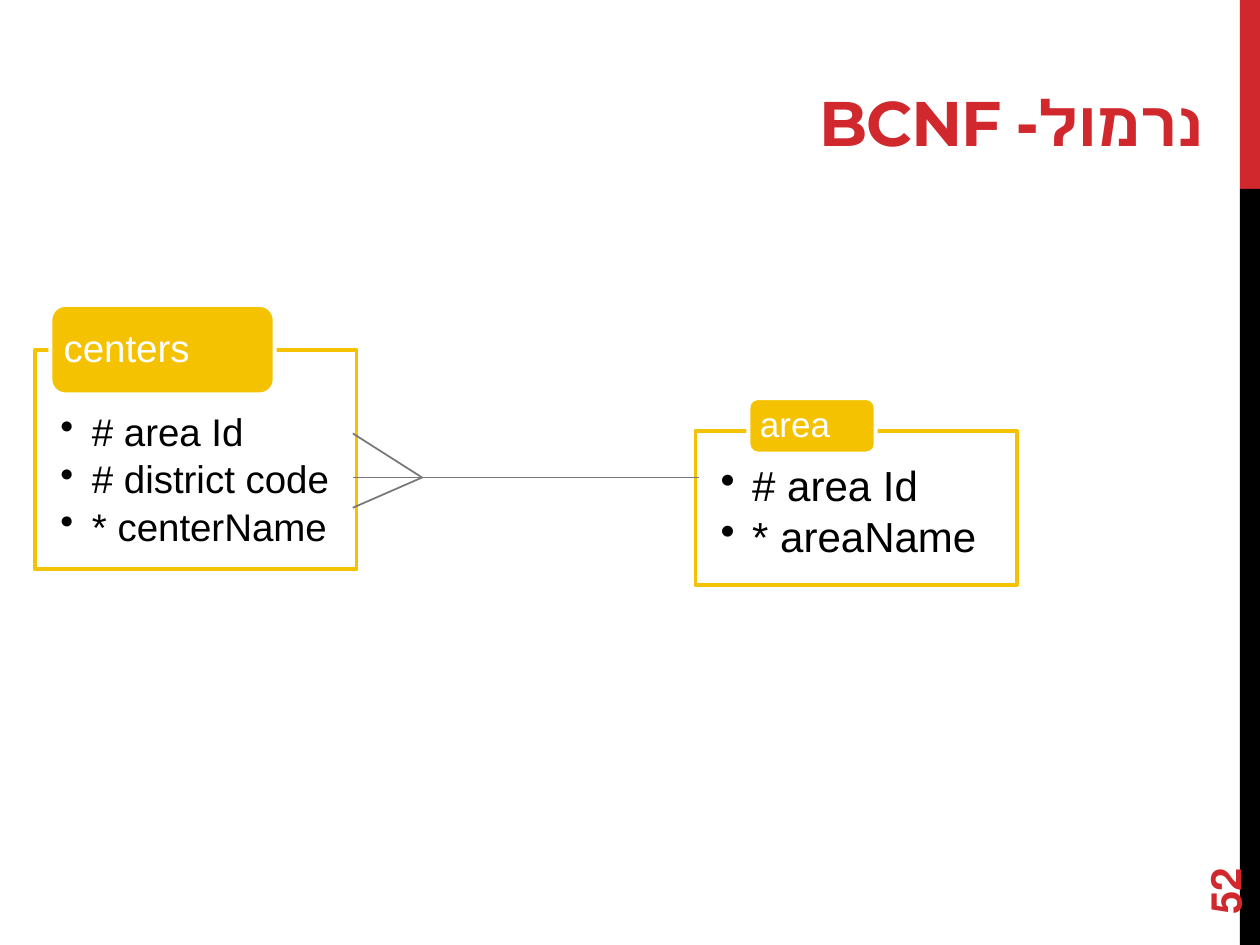
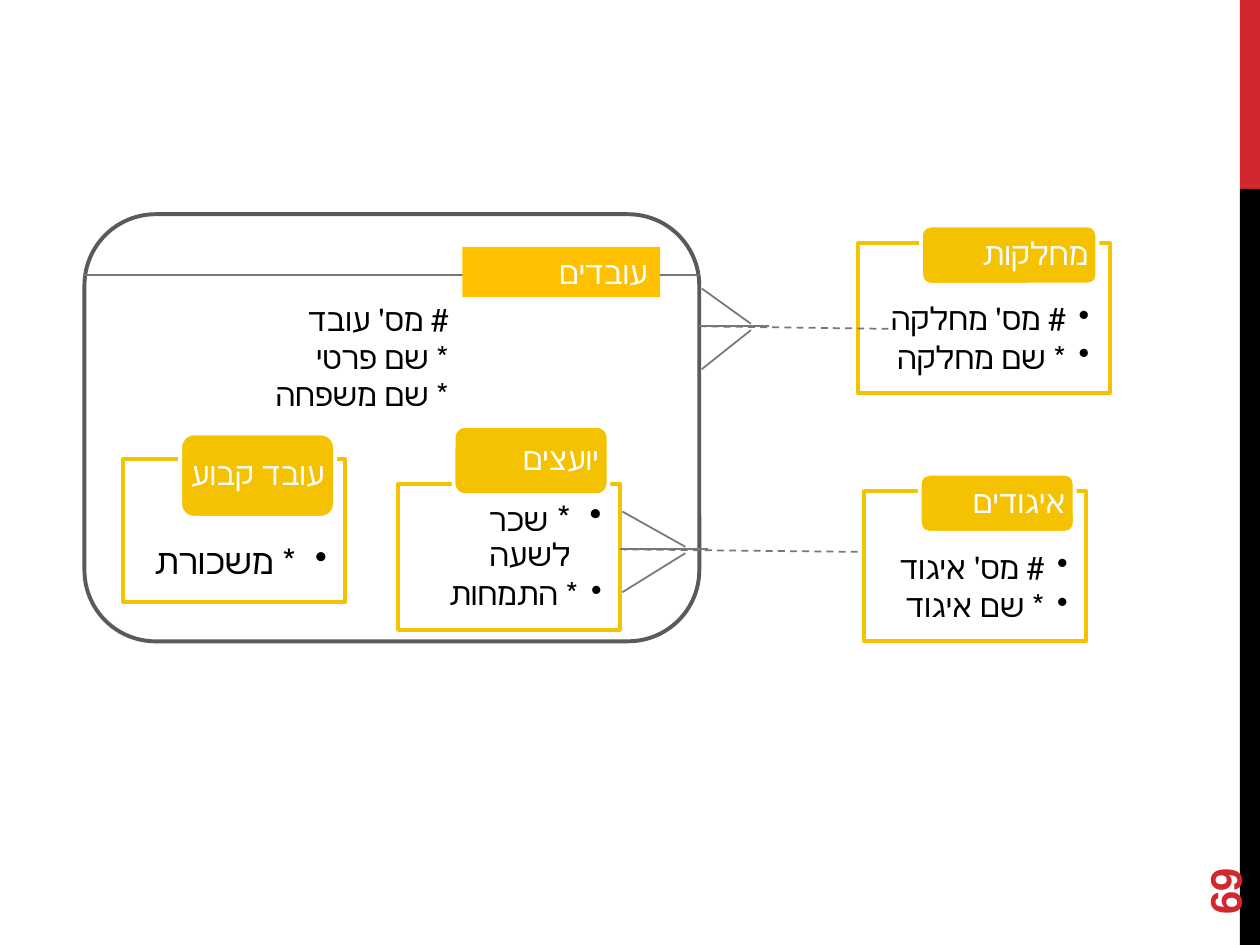
import pptx
import pptx.util
import pptx.dml.color
import pptx.enum.dml
import pptx.enum.shapes
import pptx.enum.text
import pptx.oxml.ns
from lxml import etree

Inches, Pt = pptx.util.Inches, pptx.util.Pt
RGB = pptx.dml.color.RGBColor
SHAPE = pptx.enum.shapes.MSO_SHAPE
ANCHOR = pptx.enum.text.MSO_ANCHOR
ALIGN = pptx.enum.text.PP_ALIGN
qn = pptx.oxml.ns.qn

RED = RGB(0xD1, 0x28, 0x2E)
BLACK = RGB(0, 0, 0)
WHITE = RGB(255, 255, 255)
GOLD = RGB(0xF5, 0xC2, 0x01)
AMBER = RGB(0xFF, 0xC0, 0x00)
GREY = RGB(0x77, 0x77, 0x77)
DARK_GREY = RGB(0x5A, 0x5A, 0x5A)

# Content: boxes are left, top, width, height; an item is a list of (text, size) runs
BCNF = {
    "number": "52",
    "title": "נרמול- BCNF",
    "rtl": False,
    "entities": [
        {"box": (0.28, 2.78, 2.55, 1.74), "insets": (0.2, 0.5, 0.2, 0.17),
         "tag": (0.4, 2.42, 1.78, 0.71), "tag_inset": 0.07, "name": ("centers", 22),
         "items": [[("# area Id", 22)], [("# district code", 22)], [("* centerName", 22)]]},
        {"box": (5.52, 3.42, 2.55, 1.22), "insets": (0.2, 0.27, 0.2, 0.19),
         "tag": (5.94, 3.16, 1.01, 0.44), "tag_inset": 0.07, "name": ("area", 20),
         "items": [[("# area Id", 24)], [("* areaName", 24)]]},
    ],
    # Start x, y, end x, y, dashed
    "lines": [(5.55, 3.79, 2.8, 3.79, False),
              (2.8, 3.44, 3.35, 3.79, False),
              (2.8, 4.03, 3.35, 3.79, False)],
}

EMPLOYEES = {
    "number": "69",
    "title": None,
    "rtl": True,
    "entities": [
        {"box": (0.98, 3.64, 1.76, 1.14), "insets": (0.14, 0.68, 0.14, 0.16),
         "tag": (1.43, 3.44, 1.23, 0.67), "tag_inset": 0.05, "name": ("עובד קבוע", 18),
         "items": [[("* משכורת", 20)]]},
        {"box": (3.16, 3.84, 1.76, 1.16), "insets": (0.14, 0.14, 0.14, 0.16),
         "tag": (3.6, 3.38, 1.23, 0.55), "tag_inset": 0.05, "name": ("יועצים", 18),
         "items": [[("* ", 20), ("שכר לשעה", 18)], [("* התמחות", 18)]]},
        {"box": (6.81, 1.93, 2, 1.19), "insets": (0.16, 0.48, 0.16, 0.14),
         "tag": (7.31, 1.79, 1.4, 0.47), "tag_inset": 0.05, "name": ("מחלקות", 18),
         "items": [[("# מס' מחלקה", 18)], [("* שם מחלקה", 18)]]},
        {"box": (6.86, 3.9, 1.76, 1.19), "insets": (0.14, 0.48, 0.14, 0.14),
         "tag": (7.3, 3.76, 1.23, 0.47), "tag_inset": 0.05, "name": ("איגודים", 18),
         "items": [[("# מס' איגוד", 18)], [("* שם איגוד", 18)]]},
    ],
    "lines": [(5.55, 2.59, 6.1, 2.59, False),
              (5.57, 2.93, 5.96, 2.62, False),
              (5.57, 2.29, 5.96, 2.57, False),
              (5.55, 2.59, 7.05, 2.61, True),
              (4.92, 4.36, 5.62, 4.36, False),
              (4.94, 4.7, 5.44, 4.39, False),
              (4.94, 4.06, 5.44, 4.34, False),
              (4.92, 4.36, 6.81, 4.38, True)],
}

SUPERTYPE = {"box": (0.67, 1.7, 4.88, 3.39), "divider": (0.67, 2.18, 5.55, 2.18),
             "tag": (3.67, 1.96, 1.57, 0.4), "name": ("עובדים", 18),
             "fields": (1.22, 2.33, 2.44, 1.01),
             "items": [[("# מס' עובד", 18)], [("* שם פרטי", 18)], [("* שם משפחה", 18)]]}


def add_shape(s, kind, at, fill=None, line=None, alpha=None):
    sp = s.shapes.add_shape(kind, *map(Inches, at))
    sp.shadow.inherit = False
    if fill is None:
        sp.fill.background()
    else:
        sp.fill.solid()
        sp.fill.fore_color.rgb = fill
    if alpha:
        color = sp.fill._xPr.find(qn("a:solidFill"))[0]
        etree.SubElement(color, qn("a:alpha"), val=str(alpha * 1000))
    if line is None:
        sp.line.fill.background()
    else:
        sp.line.color.rgb = line
        sp.line.width = Pt(2.25)
    return sp


def add_line(s, x1, y1, x2, y2, dashed=False):
    line = s.shapes.add_connector(pptx.enum.shapes.MSO_CONNECTOR.STRAIGHT,
                                  *map(Inches, (x1, y1, x2, y2)))
    line.line.color.rgb = GREY
    line.line.width = Pt(1)
    if dashed:
        line.line.dash_style = pptx.enum.dml.MSO_LINE.DASH
    etree.SubElement(line._element.spPr, qn("a:effectLst"))


def write(sp, items, color, right, rtl, anchor=ANCHOR.TOP, insets=(0.1, 0.05, 0.1, 0.05),
          after=None, bullets=False, font="Arial", bold=False):
    tf = sp.text_frame
    tf.word_wrap = True
    tf.vertical_anchor = anchor
    for side, inset in zip(("left", "top", "right", "bottom"), insets):
        setattr(tf, f"margin_{side}", Inches(inset))
    for i, runs in enumerate(items):
        p = tf.add_paragraph() if i else tf.paragraphs[0]
        p.alignment = ALIGN.RIGHT if right else ALIGN.LEFT
        pPr = p._p.get_or_add_pPr()
        pPr.set("rtl", str(int(rtl)))
        if after:
            p.line_spacing = 0.9
            spacing = etree.SubElement(pPr, qn("a:spcAft"))
            etree.SubElement(spacing, qn("a:spcPct"), val=str(after * 1000))
        if bullets:
            p.level = 1
            indent = Inches(0.25 if runs[0][1] >= 20 else 0.19)
            pPr.set("marL", str(indent))
            pPr.set("indent", str(-indent))
            etree.SubElement(pPr, qn("a:buChar"), char="•")
        for text, size in runs:
            r = p.add_run()
            r.text = text
            for key, value in {"name": font, "size": Pt(size), "bold": bold}.items():
                setattr(r.font, key, value)
            r.font.color.rgb = color


def add_text(s, at, items, color, right, **style):
    sp = s.shapes.add_textbox(*map(Inches, at))
    write(sp, items, color, right, True, **style)
    return sp


def add_entity(s, entity, rtl):
    box = add_shape(s, SHAPE.RECTANGLE, entity["box"], WHITE, GOLD, alpha=90)
    write(box, entity["items"], BLACK, rtl, rtl, insets=entity["insets"],
          after=15, bullets=True)
    tag = add_shape(s, SHAPE.ROUNDED_RECTANGLE, entity["tag"], GOLD, WHITE)
    side = entity["tag_inset"]
    write(tag, [[entity["name"]]], WHITE, rtl, True, ANCHOR.MIDDLE,
          (side, 0, side, 0), after=35)


def add_supertype(s, group):
    add_shape(s, SHAPE.ROUNDED_RECTANGLE, group["box"], line=DARK_GREY)
    add_line(s, *group["divider"])
    tag = add_shape(s, SHAPE.RECTANGLE, group["tag"], AMBER)
    write(tag, [[group["name"]]], WHITE, True, True)
    add_text(s, group["fields"], group["items"], BLACK, True)


def add_slide(prs, content, supertype=None):
    s = prs.slides.add_slide(prs.slide_layouts[6])
    # Side band, page number and title
    add_shape(s, SHAPE.RECTANGLE, (9.84, 0, 0.16, 1.5), RED)
    add_shape(s, SHAPE.RECTANGLE, (9.84, 1.5, 0.16, 6), BLACK)
    number = add_text(s, (9, 6.44, 1.44, 0.4), [[(content["number"], 24)]], RED, False,
                      anchor=ANCHOR.MIDDLE, bold=True)
    number.rotation = 270
    if content["title"]:
        title = add_text(s, (0.5, 0.17, 9.15, 1.14), [[(content["title"], 36)]], RED, True,
                         anchor=ANCHOR.BOTTOM, font="Montserrat", bold=True)
        title.text_frame.paragraphs[0].runs[0].font._element.set("spc", "-60")
    # Diagram
    for entity in content["entities"]:
        add_entity(s, entity, content["rtl"])
    if supertype:
        add_supertype(s, supertype)
    for line in content["lines"]:
        add_line(s, *line)


def main():
    prs = pptx.Presentation()
    prs.slide_width, prs.slide_height = Inches(10), Inches(7.5)
    add_slide(prs, BCNF)
    add_slide(prs, EMPLOYEES, SUPERTYPE)
    prs.save("out.pptx")


if __name__ == "__main__":
    main()
